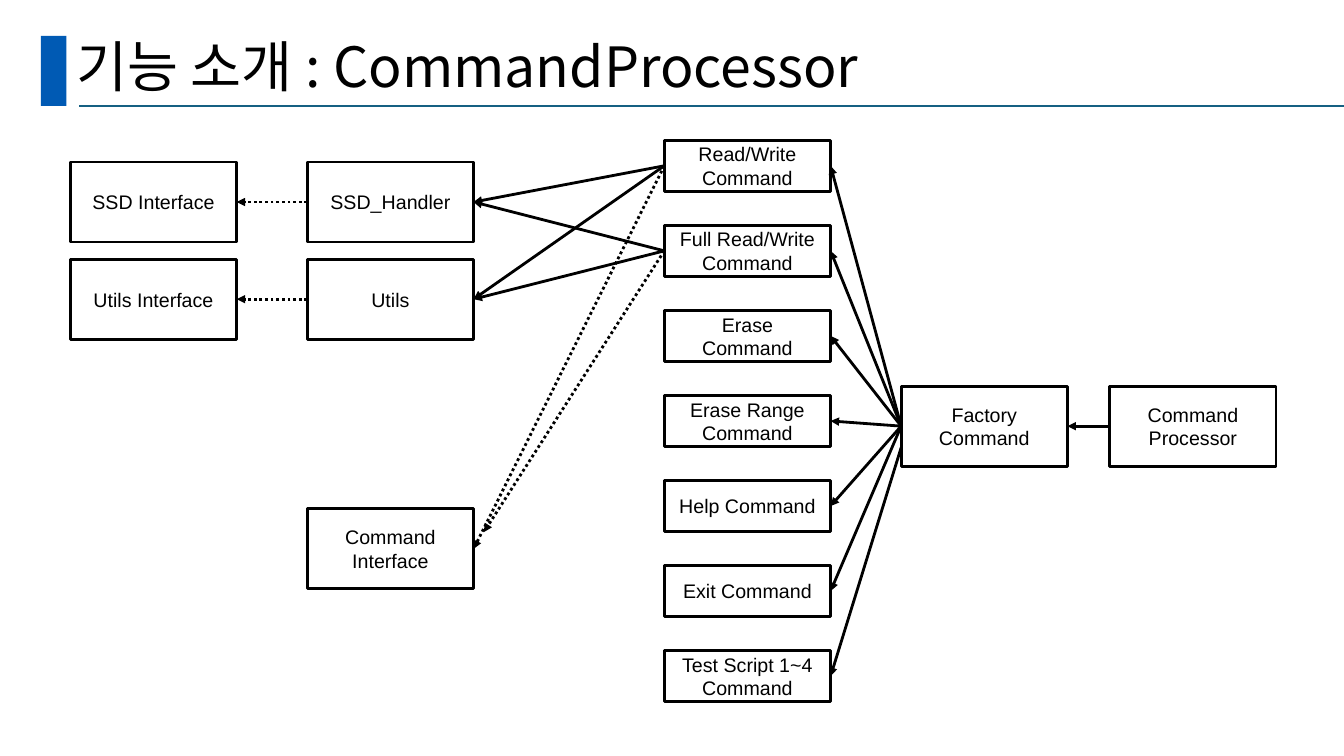
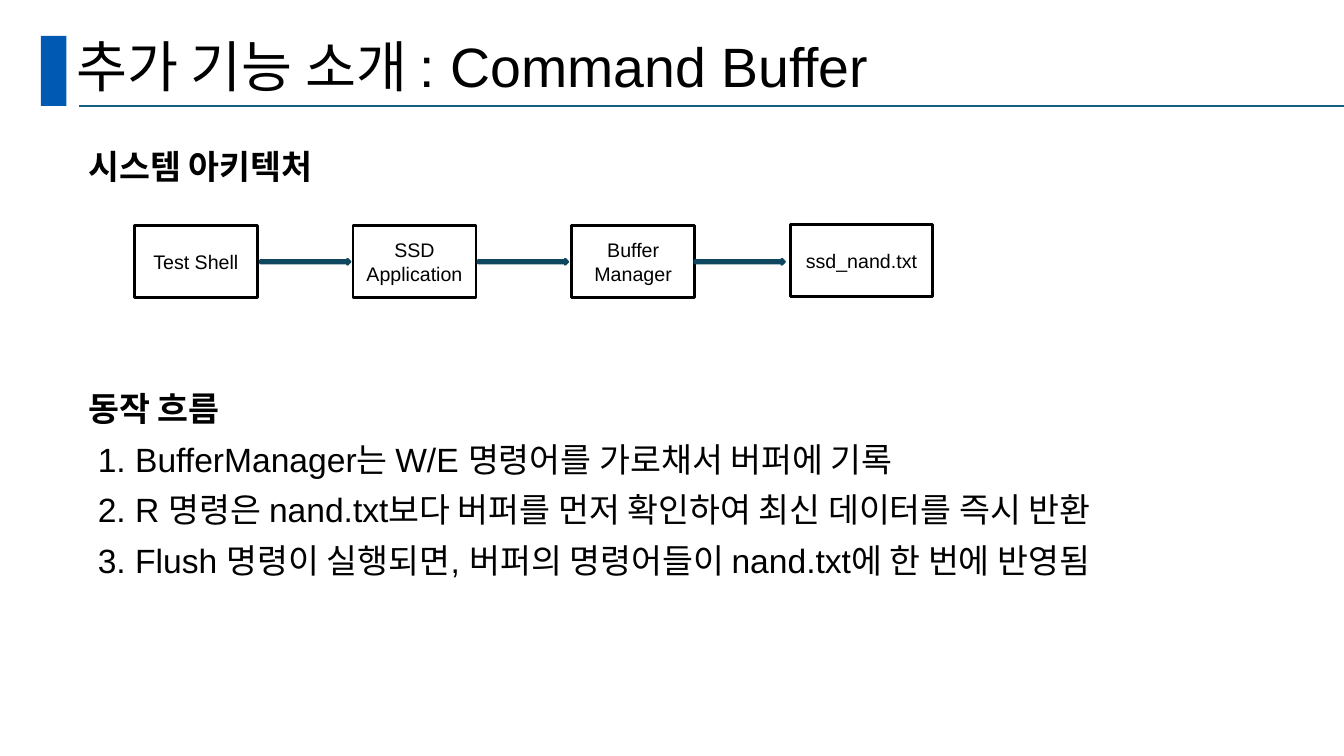
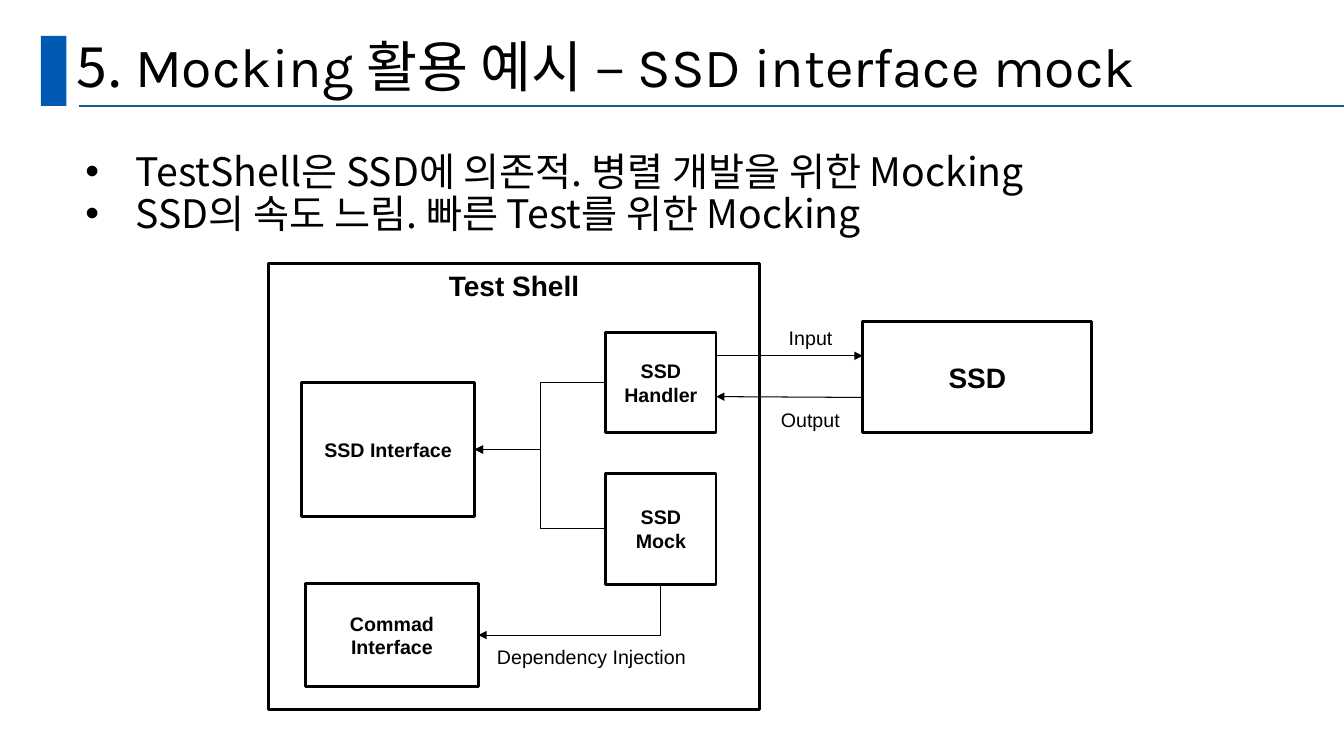
from lxml import etree
from pptx import Presentation
from pptx.dml.color import RGBColor
from pptx.enum.dml import MSO_LINE as Dash
from pptx.enum.shapes import MSO_CONNECTOR as Cxn, MSO_SHAPE as Geo
from pptx.enum.text import MSO_ANCHOR as Anchor, PP_ALIGN as Align
from pptx.oxml.ns import qn
from pptx.util import Pt

COLORS = {"band": "005AB4", "rule": "156082", "flow": "104760",
          "ink": "000000", "paper": "FFFFFF"}
ARIAL, KARLA, NOTO = "Arial", "Karla", "Noto Sans CJK KR"
TOP, LEFT, BOTTOM, RIGHT = range(4)  # connection sites of a rectangle


def rgb(name):
    return RGBColor.from_string(COLORS[name])


def write(sp, paragraphs, size=14, font=ARIAL, bold=False, align=Align.LEFT,
          anchor=Anchor.TOP, wrap=True, spacing=None, before=0, indent=0,
          hanging=0, bullet=None):
    """Fill a shape; a paragraph is a string or a list of (text, font) runs."""
    tf = sp.text_frame
    tf.word_wrap, tf.vertical_anchor = wrap, anchor
    for i, content in enumerate(paragraphs):
        p = tf.add_paragraph() if i else tf.paragraphs[0]
        p.alignment = align
        if spacing:
            p.line_spacing = spacing
        if i and before:
            p.space_before = Pt(before)
        pPr = p._p.get_or_add_pPr()
        if indent:
            pPr.set("marL", str(Pt(indent)))
            pPr.set("indent", str(Pt(-hanging)))
        if bullet:
            etree.SubElement(pPr, qn("a:buFont")).set("typeface", ARIAL)
            etree.SubElement(pPr, qn("a:buChar")).set("char", bullet)
        runs = [(content, font)] if isinstance(content, str) else content
        for text, face in runs:
            r = p.add_run()
            r.text = text
            r.font.name, r.font.size, r.font.bold = face, Pt(size), bold
            r.font.color.rgb = rgb("ink")
            etree.SubElement(r._r.get_or_add_rPr(), qn("a:ea")).set("typeface", NOTO)


def text_box(s, box, paragraphs, **fmt):
    write(s.shapes.add_textbox(*map(Pt, box)), paragraphs, **fmt)


def shape(s, box, geo=Geo.RECTANGLE, fill=None, line=None, width=2):
    sp = s.shapes.add_shape(geo, *map(Pt, box))
    sp.shadow.inherit = False
    if fill:
        sp.fill.solid()
        sp.fill.fore_color.rgb = rgb(fill)
    else:
        sp.fill.background()
    if line:
        sp.line.color.rgb, sp.line.width = rgb(line), Pt(width)
    else:
        sp.line.fill.background()
    return sp


def node(s, box, label, fill=None, anchor=Anchor.MIDDLE, **fmt):
    sp = shape(s, box, fill=fill, line="ink")
    write(sp, label.split("\n"), align=Align.CENTER, anchor=anchor, **fmt)
    return sp


def link(s, start, end, kind=Cxn.STRAIGHT, color="ink", width=2.0,
         dotted=False, arrow="tailEnd"):
    """Join two ends; an end is (shape, site) or a point (x, y)."""
    c = s.shapes.add_connector(kind, 0, 0, 0, 0)
    if isinstance(start[0], (int, float)):
        c.begin_x, c.begin_y = map(Pt, start)
    else:
        c.begin_connect(*start)
    if isinstance(end[0], (int, float)):
        c.end_x, c.end_y = map(Pt, end)
    else:
        c.end_connect(*end)
    c.line.color.rgb, c.line.width = rgb(color), Pt(width)
    if dotted:
        c.line.dash_style = Dash.ROUND_DOT
    if arrow:
        etree.SubElement(c.line._get_or_add_ln(), qn("a:" + arrow)).set("type", "triangle")
    etree.SubElement(c._element.spPr, qn("a:effectLst"))
    return c


def new_slide(prs, title):
    """Blank slide with the shared band, rule and title."""
    s = prs.slides.add_slide(prs.slide_layouts[6])
    shape(s, (29.3, 25.7, 18.2, 49.9), fill="band")
    link(s, (56.6, 75.5), (960, 75.5), color="rule", width=1.5, arrow=None)
    text_box(s, (47.5, 24.5, 828, 51), [title], size=39.6,
             anchor=Anchor.MIDDLE, spacing=0.9)
    return s


def command_classes(s, x, y):
    """Class diagram whose top left corner is (x, y)."""
    w, h, command_h, pitch = 118.8, 57.2, 36.7, 60.75

    def unit(dx, dy, label, height=h):
        return node(s, (x + dx, y + dy, w, height), label)

    # Interfaces and their implementations
    handlers = []
    for dy, interface, handler in ((15.6, "SSD Interface", "SSD_Handler"),
                                   (85, "Utils Interface", "Utils")):
        parent, child = unit(0, dy, interface), unit(169.2, dy, handler)
        link(s, (child, LEFT), (parent, RIGHT), dotted=True)
        handlers.append(child)
    command_interface = unit(169.2, 263.4, "Command\nInterface")

    # Commands
    labels = ("Read/Write Command", "Full Read/Write Command", "Erase Command",
              "Erase Range Command", "Help Command", "Exit Command",
              "Test Script 1~4 Command")
    commands = [unit(424.2, i * pitch, label, command_h)
                for i, label in enumerate(labels)]

    # Factory and processor
    factory = unit(593.4, 175.7, "Factory Command")
    processor = unit(742.4, 175.7, "Command Processor")
    link(s, (processor, LEFT), (factory, RIGHT))
    for command in commands[:-1]:
        link(s, (factory, LEFT), (command, RIGHT))
    link(s, (x + 593.4, y + 219.6), (commands[-1], RIGHT))

    # Uses of the read and write commands
    targets = ((command_interface, RIGHT), (x + 295.3, y + 280))
    for command, target in zip(commands, targets):
        for handler in handlers:
            link(s, (command, LEFT), (handler, RIGHT))
        link(s, (command, LEFT), target, dotted=True)


def buffer_chain(s, x, y):
    """Row of four components joined by block arrows."""
    pitch, w, h = 156.2, 87.8, 51.1
    labels = ("Test Shell", "SSD\nApplication", "Buffer\nManager", "ssd_nand.txt")
    for i, label in enumerate(labels):
        last = i == len(labels) - 1
        node(s, (x + i * pitch, y - 0.7 * last, 101.5 if last else w, h),
             label, fill="paper")
    for dx in (90, 245.5, 400.3):
        shape(s, (x + dx, y + 24, 64, 3.6), Geo.RIGHT_ARROW, fill="ink", line="flow")


def buffer_text(s, x, y, w):
    """Two headings, and the steps under the second."""
    body = dict(size=24, spacing=Pt(26), before=10)
    text_box(s, (x, y, w, 40), ["시스템 아키텍처"], bold=True, indent=8.64, **body)
    text_box(s, (x, y + 172.9, w, 40), ["동작 흐름"], bold=True, indent=8.64, **body)
    text_box(s, (x, y + 208.9, w, 120), [
        "1. BufferManager는 W/E 명령어를 가로채서 버퍼에 기록",
        "2. R 명령은 nand.txt보다 버퍼를 먼저 확인하여 최신 데이터를 즉시 반환",
        "3. Flush 명령이 실행되면, 버퍼의 명령어들이 nand.txt에 한 번에 반영됨",
    ], indent=15.3, **body)


def mock_diagram(s, x, y):
    """Test shell frame and the SSD outside it."""
    def unit(dx, dy, w, h, label, **fmt):
        return node(s, (x + dx, y + dy, w, h), label, bold=True, **fmt)

    def caption(dx, dy, w, text):
        text_box(s, (x + dx, y + dy, w, 25), [text], wrap=False)

    # Boxes
    unit(0, 0, 351, 318.4, "Test Shell", size=20, anchor=Anchor.TOP)
    unit(424.6, 41.3, 163.6, 79.4, "SSD", size=20)
    interface = unit(23.8, 84.9, 123.6, 95.8, "SSD Interface")
    mock = unit(241, 150, 78.8, 79, "SSD\nMock")
    handler = unit(241, 49.1, 78.8, 71.6, "SSD\nHandler")
    command = unit(26.6, 228.6, 123.4, 73.6, "Commad\nInterface")

    # Exchange with the SSD
    thin = dict(width=0.75)
    link(s, (x + 319.8, y + 65.9), (x + 424.6, y + 65.9), **thin)
    link(s, (x + 424.6, y + 95.6), (x + 319.8, y + 95), **thin)
    caption(364.6, 41.3, 46, "Input")
    caption(359, 99.4, 57, "Output")

    # Inheritance and injection
    for child in (handler, mock):
        link(s, (child, LEFT), (interface, RIGHT), Cxn.ELBOW, **thin)
    corner = link(s, (command, RIGHT), (mock, BOTTOM), Cxn.ELBOW,
                  arrow="headEnd", **thin)
    corner._element.spPr.find(qn("a:prstGeom")).set("prst", "bentConnector2")
    caption(156.2, 268.6, 150, "Dependency Injection")


def main():
    prs = Presentation()
    prs.slide_width, prs.slide_height = Pt(960), Pt(540)

    s = new_slide(prs, [("기능 소개 : CommandProcessor", NOTO)])
    command_classes(s, 50.3, 100.1)

    s = new_slide(prs, [("추가 기능 소개 ", NOTO), (": Command Buffer", ARIAL)])
    buffer_text(s, 47.5, 103.7, 828)
    buffer_chain(s, 96, 161.2)

    s = new_slide(prs, [("5. ", NOTO),
                        ("Mocking 활용 예시 – SSD interface mock", KARLA)])
    text_box(s, (40.3, 105.5, 828, 85.7), [
        "TestShell은 SSD에 의존적. 병렬 개발을 위한 Mocking",
        "SSD의 속도 느림. 빠른 Test를 위한 Mocking",
    ], size=28, font=NOTO, spacing=Pt(30), indent=49.7, hanging=36, bullet="•")
    mock_diagram(s, 191.7, 188.3)

    prs.save("out.pptx")


if __name__ == "__main__":
    main()
